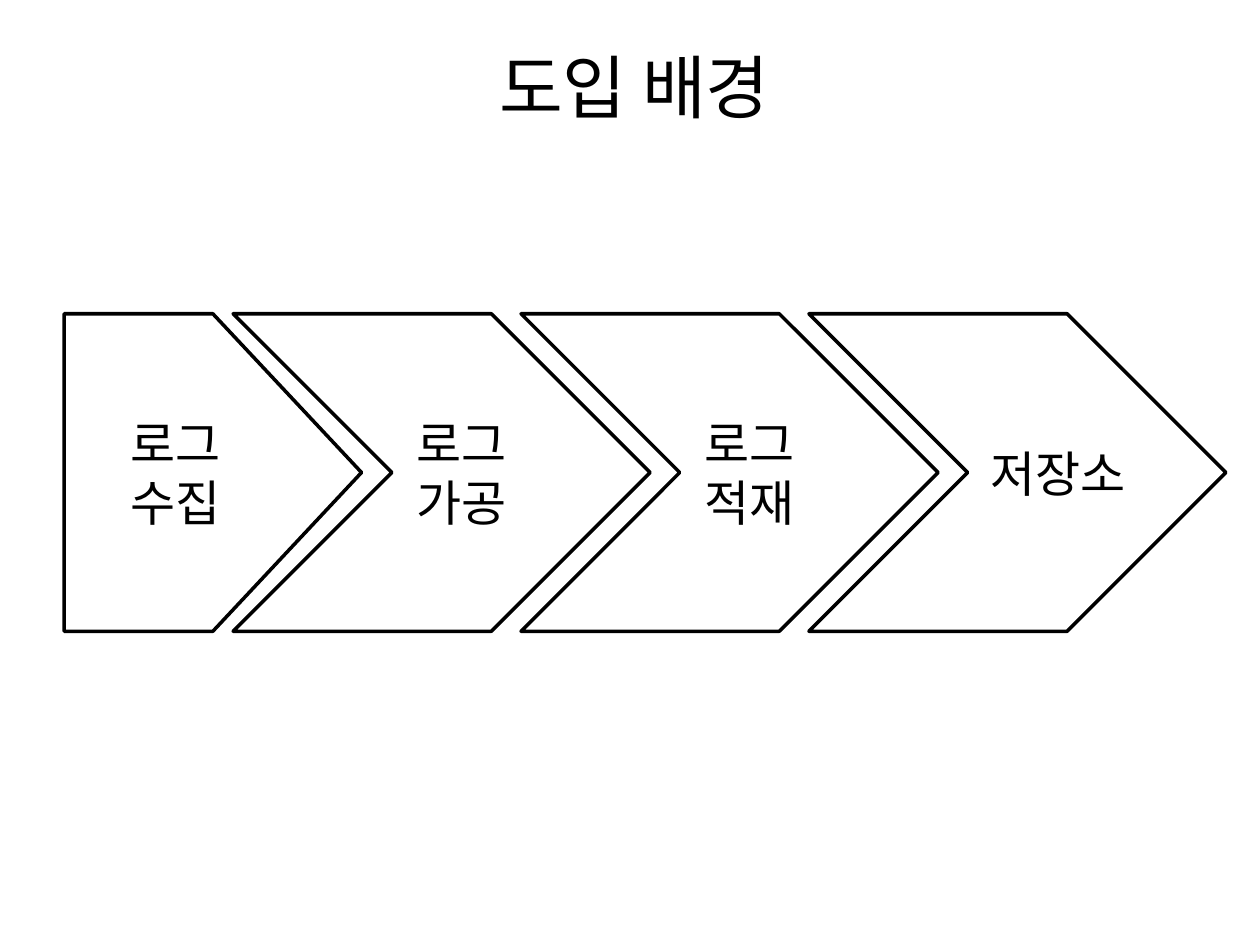
from dataclasses import dataclass

import pptx
import pptx.dml.color
import pptx.enum.shapes
import pptx.enum.text
import pptx.oxml.ns
import pptx.util
from lxml import etree

Inches = pptx.util.Inches
Preset = pptx.enum.shapes.MSO_SHAPE


@dataclass(frozen=True)
class Theme:
    ink: pptx.dml.color.RGBColor = pptx.dml.color.RGBColor(0, 0, 0)
    font: str = "Noto Sans CJK KR"
    title_size: float = 39.6
    step_size: float = 28
    outline: float = 2


@dataclass(frozen=True)
class Step:
    text: str
    text_shift: float = 0  # inches the label moves right of the centre


THEME = Theme()
WIDTH, HEIGHT = 10, 7.5

# Process row: a pentagon start, then chevrons at an equal pitch
ROW_TOP, ROW_HEIGHT = 2.49, 2.52
START_LEFT, START_WIDTH = 0.51, 2.36
CHEVRON_LEFT, CHEVRON_WIDTH, CHEVRON_PITCH = 1.85, 3.31, 2.285
INSET = 0.1

START = Step("로그\n수집")
CHEVRONS = [
    Step("로그\n가공", 0.155),
    Step("로그\n적재", 0.155),
    Step("저장소", 0.32),
]


def format_text(text_frame, size: float) -> None:
    """Centre the text and give every run the theme's font."""
    text_frame.vertical_anchor = pptx.enum.text.MSO_ANCHOR.MIDDLE
    for paragraph in text_frame.paragraphs:
        paragraph.alignment = pptx.enum.text.PP_ALIGN.CENTER
        for run in paragraph.runs:
            run.font.size = pptx.util.Pt(size)
            run.font.name = THEME.font
            run.font.color.rgb = THEME.ink
            east_asian = etree.SubElement(
                run.font._element, pptx.oxml.ns.qn("a:ea"))
            east_asian.set("typeface", THEME.font)


def add_title(slide, text: str) -> None:
    box = slide.shapes.add_textbox(
        Inches(0.5), Inches(0.3), Inches(9.07), Inches(0.77))
    box.text_frame.word_wrap = True
    box.text_frame.text = text
    format_text(box.text_frame, THEME.title_size)


def add_step(slide, step: Step, preset, left: float, width: float) -> None:
    shape = slide.shapes.add_shape(
        preset, Inches(left), Inches(ROW_TOP),
        Inches(width), Inches(ROW_HEIGHT))
    shape.shadow.inherit = False
    shape.fill.background()
    shape.line.color.rgb = THEME.ink
    shape.line.width = pptx.util.Pt(THEME.outline)
    text_frame = shape.text_frame
    text_frame.word_wrap = False
    text_frame.margin_left = Inches(INSET + 2 * step.text_shift)
    text_frame.margin_right = Inches(INSET)
    text_frame.text = step.text
    format_text(text_frame, THEME.step_size)


def main() -> None:
    presentation = pptx.Presentation()
    presentation.slide_width = Inches(WIDTH)
    presentation.slide_height = Inches(HEIGHT)
    slide = presentation.slides.add_slide(presentation.slide_layouts[6])

    add_title(slide, "도입 배경")
    add_step(slide, START, Preset.PENTAGON, START_LEFT, START_WIDTH)
    for column, step in enumerate(CHEVRONS):
        add_step(slide, step, Preset.CHEVRON,
                 CHEVRON_LEFT + column * CHEVRON_PITCH, CHEVRON_WIDTH)

    presentation.save("out.pptx")


if __name__ == "__main__":
    main()
